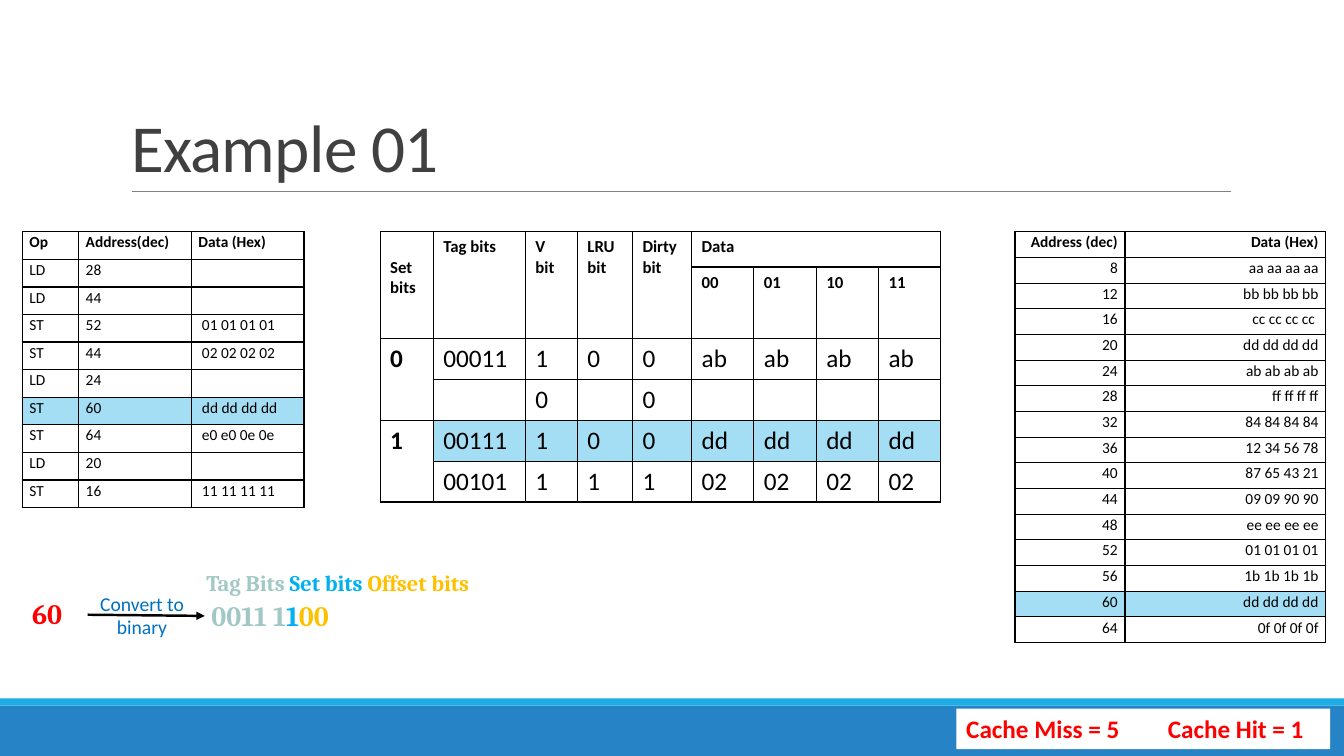
from lxml.etree import SubElement
from pptx import Presentation
from pptx.dml.color import RGBColor
from pptx.enum.shapes import MSO_CONNECTOR, MSO_SHAPE
from pptx.enum.text import MSO_ANCHOR, PP_ALIGN
from pptx.oxml.ns import qn
from pptx.util import Cm, Pt

COLORS = {
    "blue": "2683C6", "sky": "1CADE4", "gray": "808080", "title": "404040",
    "black": "000000", "white": "FFFFFF", "mark": "A4DEF4", "red": "FF0000",
    "link": "0070C0", "tag": "A1C8C5", "set": "00B0F0", "offset": "FFC000",
}
WIDTH, HEIGHT = 33.87, 19.05
TOP = 5.84

OPS = [
    ("Op", "Address(dec)", "Data (Hex)"),
    ("LD", "28", ""), ("LD", "44", ""),
    ("ST", "52", "01 01 01 01"), ("ST", "44", "02 02 02 02"),
    ("LD", "24", ""), ("ST", "60", "dd dd dd dd"),
    ("ST", "64", "e0 e0 0e 0e"), ("LD", "20", ""),
    ("ST", "16", "11 11 11 11"),
]
WORDS = [
    "aa aa aa aa", "bb bb bb bb", "cc cc cc cc ", "dd dd dd dd", "ab ab ab ab",
    "ff ff ff ff", "84 84 84 84", "12 34 56 78", "87 65 43 21", "09 09 90 90",
    "ee ee ee ee", "01 01 01 01", "1b 1b 1b 1b", "dd dd dd dd", "0f 0f 0f 0f",
]
MEMORY = [("Address (dec)", "Data (Hex)")]
MEMORY += [(str(8 + 4 * i), word) for i, word in enumerate(WORDS)]
CACHE = [
    ("Set bits", "Tag bits", "V bit", "LRU bit", "Dirty bit", "Data", "", "", ""),
    ("", "", "", "", "", "00", "01", "10", "11"),
    ("0", "00011", "1", "0", "0", "ab", "ab", "ab", "ab"),
    ("", "", "0", "", "0", "", "", "", ""),
    ("1", "00111", "1", "0", "0", "dd", "dd", "dd", "dd"),
    ("", "00101", "1", "1", "1", "02", "02", "02", "02"),
]


def rgb(name):
    return RGBColor.from_string(COLORS[name])


class Deck:
    """Holds the text style and the slide being drawn."""

    def __init__(self, face):
        self.face = face
        self.prs = Presentation()
        self.prs.slide_width, self.prs.slide_height = Cm(WIDTH), Cm(HEIGHT)
        self.slide = self.prs.slides.add_slide(self.prs.slide_layouts[5])
        self.shapes = self.slide.shapes

    def style(self, font, size, color="black", bold=False, face=None):
        font.name, font.size, font.bold = face or self.face, Pt(size), bold
        font.color.rgb = rgb(color)

    def title(self, text, *box):
        shape = self.shapes.title
        shape.left, shape.top, shape.width, shape.height = map(Cm, box)
        frame = shape.text_frame
        frame.text, frame.vertical_anchor = text, MSO_ANCHOR.BOTTOM
        para = frame.paragraphs[0]
        para.alignment, para.line_spacing = PP_ALIGN.LEFT, 0.85
        self.style(para.font, 48, "title")
        para.runs[0].font._element.set("spc", "-50")

    def bar(self, color, *box):
        shape = self.shapes.add_shape(MSO_SHAPE.RECTANGLE, *map(Cm, box))
        shape.shadow.inherit = False
        shape.fill.solid()
        shape.fill.fore_color.rgb = rgb(color)
        shape.line.fill.background()

    def line(self, color, width, *ends, arrow=False):
        line = self.shapes.add_connector(MSO_CONNECTOR.STRAIGHT, *map(Cm, ends))
        line.line.color.rgb, line.line.width = rgb(color), Pt(width)
        if arrow:
            SubElement(line.line._get_or_add_ln(), qn("a:tailEnd"), type="triangle")
        SubElement(line._element.spPr, qn("a:effectLst"))

    def text(self, box, paras, size, bold=True, face=None, fill=None, align=PP_ALIGN.LEFT):
        """Each paragraph is a list of (text, color) runs."""
        shape = self.shapes.add_textbox(*map(Cm, box))
        if fill:
            shape.fill.solid()
            shape.fill.fore_color.rgb = rgb(fill)
        frame = shape.text_frame
        frame.word_wrap = True
        for i, runs in enumerate(paras):
            para = frame.add_paragraph() if i else frame.paragraphs[0]
            para.alignment = align
            self.style(para.font, size, runs[0][1], bold, face)
            for words, color in runs:
                run = para.add_run()
                run.text = words
                if color != runs[0][1]:
                    run.font.color.rgb = rgb(color)

    def border(self, cell):
        props = cell._tc.get_or_add_tcPr()
        for i, side in enumerate(("lnL", "lnR", "lnT", "lnB")):
            edge = props.makeelement(qn("a:" + side), {"w": str(Pt(1))})
            fill = SubElement(edge, qn("a:solidFill"))
            SubElement(fill, qn("a:srgbClr"), val=COLORS["black"])
            props.insert(i, edge)

    def table(self, left, cols, heights, rows, look, marks):
        """look(row, col) gives size and bold; marks holds shaded cells."""
        shape = self.shapes.add_table(
            len(rows), len(cols), Cm(left), Cm(TOP), Cm(sum(cols)), Cm(sum(heights)))
        table = shape.table
        table.first_row = table.horz_banding = False
        for col, width in zip(table.columns, cols):
            col.width = Cm(width)
        for r, row in enumerate(rows):
            table.rows[r].height = Cm(heights[r])
            for c, words in enumerate(row):
                cell = table.cell(r, c)
                size, bold = look(r, c)
                para = cell.text_frame.paragraphs[0]
                self.style(para.font, size, bold=bold)
                if words:
                    para.add_run().text = words
                else:
                    SubElement(para._p, qn("a:endParaRPr"), sz=str(size * 100))
                if (r, c) in marks:
                    cell.fill.solid()
                    cell.fill.fore_color.rgb = rgb("mark")
                else:
                    cell.fill.background()
                self.border(cell)
        return table

    def sheet(self, left, cols, height, rows, mark, align):
        """A tight table with one header row and one shaded row."""
        table = self.table(
            left, cols, [height / len(rows)] * len(rows), rows,
            lambda r, c: (11, r == 0), {(mark, c) for c in range(len(cols))})
        for cell in table.iter_cells():
            cell.margin_left = cell.margin_right = Cm(0.18)
            cell.margin_top = cell.margin_bottom = 0
            para = cell.text_frame.paragraphs[0]
            para.alignment, para.line_spacing = align, 1.07
        return table


def main():
    deck = Deck("Calibri")
    deck.bar("blue", 0, 17.78, WIDTH, 1.27)
    deck.bar("sky", 0, 17.6, WIDTH, 0.18)
    deck.line("gray", 0.5, 3.33, 4.83, 31.01, 4.83)
    deck.title("Example 01", 3.05, 0.79, 27.94, 4.04)

    cache = deck.table(
        9.58, [1.34, 2.32, 1.31, 1.39, 1.49] + [1.57] * 4,
        [0.89] * 2 + [0.71] * 4, CACHE,
        lambda r, c: (12 if r < 2 else 18, r < 2 or c == 0),
        {(4, c) for c in range(1, 9)})
    for c in range(5):
        cache.cell(0, c).merge(cache.cell(1, c))
    cache.cell(0, 5).merge(cache.cell(0, 8))
    for r in (2, 4):
        cache.cell(r, 0).merge(cache.cell(r + 1, 0))
    cache.cell(0, 0).margin_top = Cm(0.64)

    deck.text((2.21, 14.78, 2.74, 1.45), [[("Convert to", "link")], [("binary", "link")]],
              14, bold=False, fill="white", align=PP_ALIGN.CENTER)
    deck.text((0.56, 14.91, 2.49, 1.12), [[("60", "red")]], 20, face="Cambria")
    deck.line("black", 1.75, 2.21, 15.49, 5.16, 15.52, arrow=True)
    deck.text((5.08, 14.96, 5.46, 1.12),
              [[("0011 1", "tag"), ("1", "set"), ("00", "offset")]], 20, face="Cambria")
    deck.text((4.95, 14.22, 7.16, 0.94),
              [[("Tag Bits ", "tag"), ("Set bits ", "set"), ("Offset bits", "offset")]],
              16, face="Cambria", fill="white")
    deck.text((24.1, 17.86, 9.42, 1.02), [[("Cache Miss = 5\tCache Hit = 1", "red")]],
              18, fill="white")

    ops = deck.sheet(0.56, [1.42, 2.84, 2.84], 6.96, OPS, 6, PP_ALIGN.LEFT)
    for r in range(1, len(OPS)):
        ops.cell(r, 2).margin_left = Cm(0.27)
    deck.sheet(25.58, [2.77, 5.06], 10.36, MEMORY, 14, PP_ALIGN.RIGHT)
    deck.prs.save("out.pptx")


if __name__ == "__main__":
    main()
